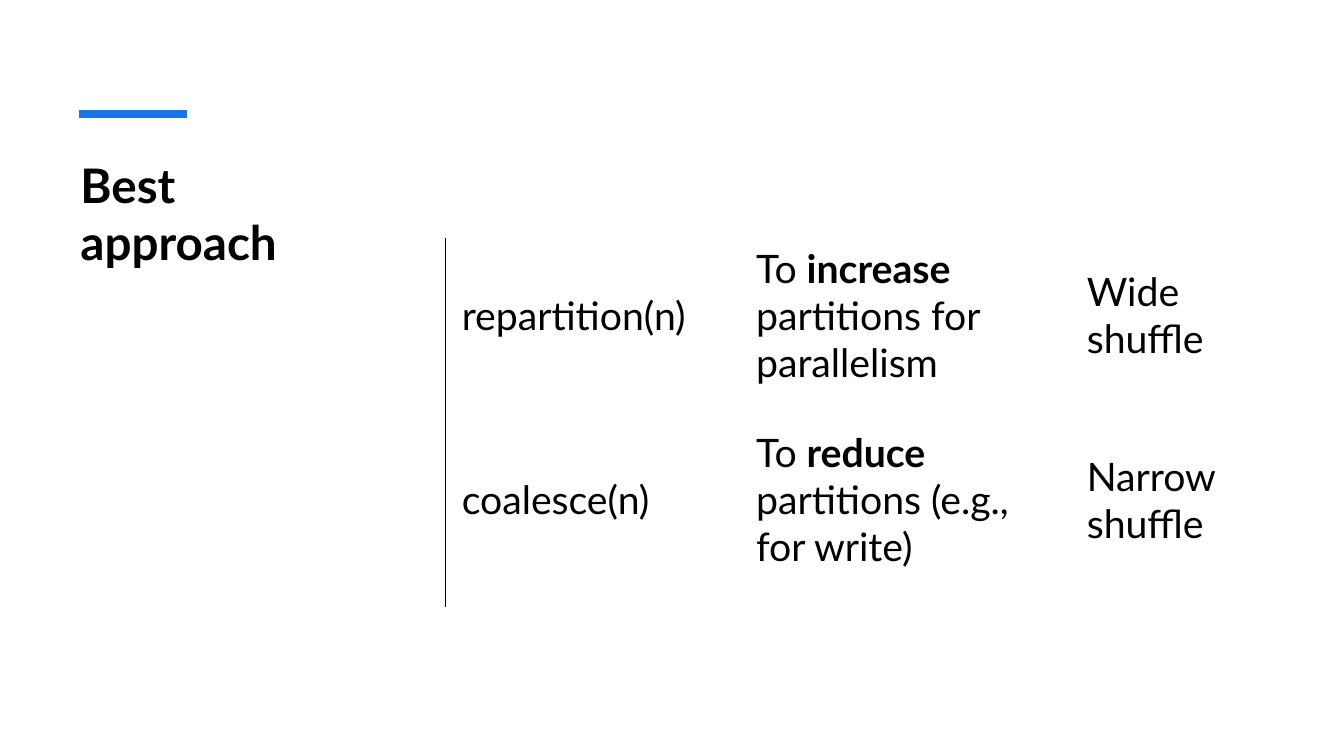
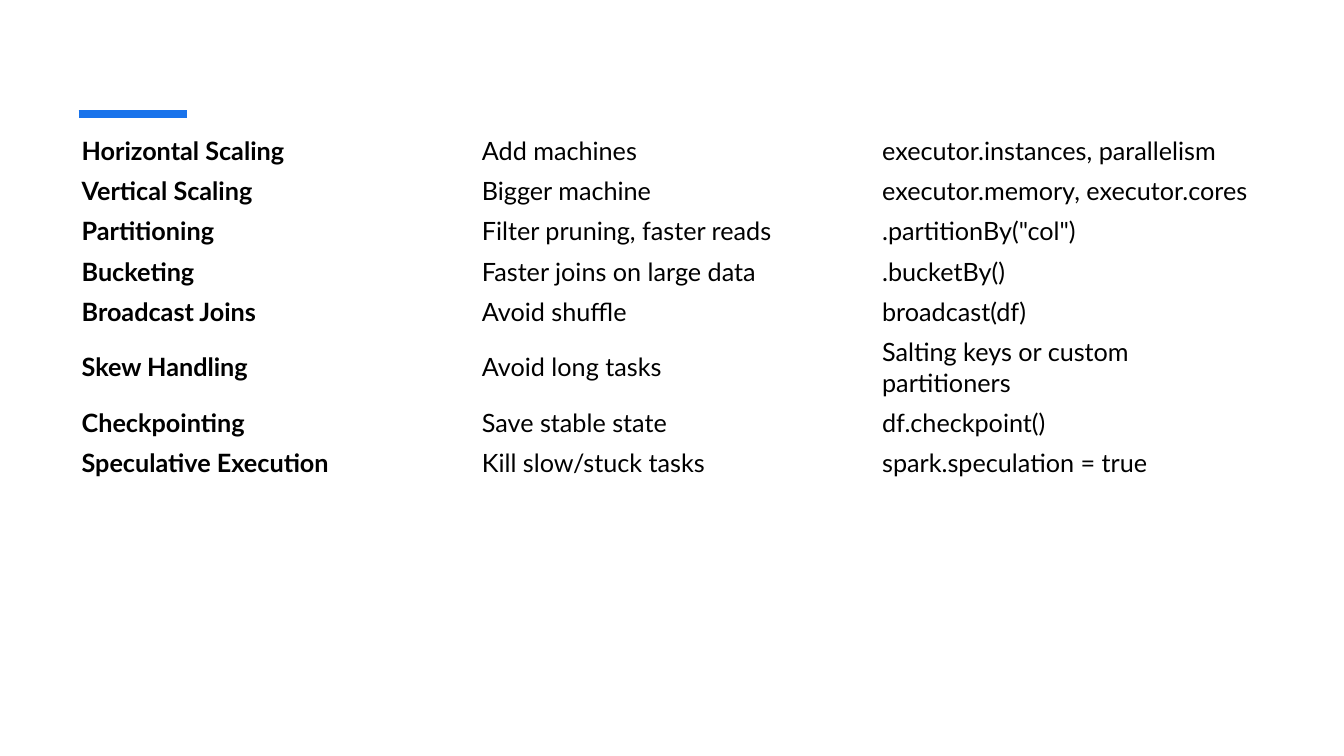
from lxml.etree import SubElement
from pptx import Presentation
from pptx.dml.color import RGBColor as RGB
from pptx.enum.shapes import MSO_CONNECTOR as CONN
from pptx.enum.text import MSO_ANCHOR as ANCHOR
from pptx.oxml import parse_xml
from pptx.oxml.ns import nsdecls, qn
from pptx.util import Pt

PX = 9144
COLORS = {"text": "000000", "accent": "1973EB", "back": "FFFFFF"}
FONT = "Lato"
NO_STYLE = "{2D5ABB26-0587-4C30-8999-92F81FD0307C}"
MARGINS = ("margin_left", "margin_top", "margin_right", "margin_bottom")

APPROACHES = [
    ("repartition(n)", "To *increase* partitions for parallelism", "Wide shuffle"),
    ("coalesce(n)", "To *reduce* partitions (e.g., for write)", "Narrow shuffle"),
]
TECHNIQUES = [
    ("*Horizontal Scaling*", "Add machines", "executor.instances, parallelism"),
    ("*Vertical Scaling*", "Bigger machine", "executor.memory, executor.cores"),
    ("*Partitioning*", "Filter pruning, faster reads", '.partitionBy("col")'),
    ("*Bucketing*", "Faster joins on large data", ".bucketBy()"),
    ("*Broadcast Joins*", "Avoid shuffle", "broadcast(df)"),
    ("*Skew Handling*", "Avoid long tasks", "Salting keys or custom partitioners"),
    ("*Checkpointing*", "Save stable state", "df.checkpoint()"),
    ("*Speculative Execution*", "Kill slow/stuck tasks", "spark.speculation = true"),
]


def px(*values):
    return [v * PX for v in values]


def assign(obj, values):
    for name, value in values.items():
        setattr(obj, name, value)


class Deck:
    def __init__(self, width, height):
        self.prs = Presentation()
        assign(self.prs, {"slide_width": width * PX, "slide_height": height * PX})

    def add_slide(self):
        self.s = self.prs.slides.add_slide(self.prs.slide_layouts[6])
        fill = self.s.background.fill
        fill.solid()
        fill.fore_color.rgb = RGB.from_string(COLORS["back"])
        self.line(78, 113, 185, 113, "accent", 6)

    def line(self, x1, y1, x2, y2, color, weight):
        c = self.s.shapes.add_connector(CONN.STRAIGHT, *px(x1, y1, x2, y2))
        c.line.color.rgb = RGB.from_string(COLORS[color])
        c.line.width = Pt(weight)
        SubElement(c._element.spPr, qn("a:effectLst"))

    def add_text(self, tf, text, size):
        p = tf.paragraphs[0]
        for i, part in enumerate(text.split("*")):
            if part:
                r = p.add_run()
                r.text = part
                assign(r.font, {"name": FONT, "size": Pt(size), "bold": i % 2 == 1})
                r.font.color.rgb = RGB.from_string(COLORS["text"])

    def title(self, text):
        tf = self.s.shapes.add_textbox(*px(70, 150, 290, 454)).text_frame
        tf.word_wrap = True
        self.add_text(tf, f"*{text}*", 34)

    def table(self, x, y, cols, row_height, rows, size, margins, left_rule=False):
        frame = self.s.shapes.add_table(
            len(rows), len(cols), *px(x, y, sum(cols), row_height * len(rows)))
        tbl = frame.table
        assign(tbl, {"first_row": False, "horz_banding": False})
        tbl._tbl.tblPr.find(qn("a:tableStyleId")).text = NO_STYLE
        for col, width in zip(tbl.columns, cols):
            col.width = width * PX
        for i, row in enumerate(rows):
            tbl.rows[i].height = row_height * PX
            for j, text in enumerate(row):
                cell = tbl.cell(i, j)
                assign(cell, {"vertical_anchor": ANCHOR.MIDDLE,
                              **dict(zip(MARGINS, px(*margins)))})
                cell.fill.background()
                self.add_text(cell.text_frame, text, size)
                if left_rule and j == 0:
                    self.left_border(cell)

    def left_border(self, cell):
        ln = parse_xml(
            f'<a:lnL {nsdecls("a")} w="{Pt(0.75)}"><a:solidFill>'
            f'<a:srgbClr val="{COLORS["text"]}"/></a:solidFill></a:lnL>')
        cell._tc.get_or_add_tcPr().insert(0, ln)


def main():
    deck = Deck(1333, 750)

    deck.add_slide()
    deck.title("Best approach")
    deck.table(442, 236, [292, 328, 198], 183, APPROACHES, 28,
               (16, 5, 37, 35), left_rule=True)

    deck.add_slide()
    deck.table(71, 129, [397] * 3, 40, TECHNIQUES, 18, (10, 5, 10, 5))

    deck.prs.save("out.pptx")


if __name__ == "__main__":
    main()
